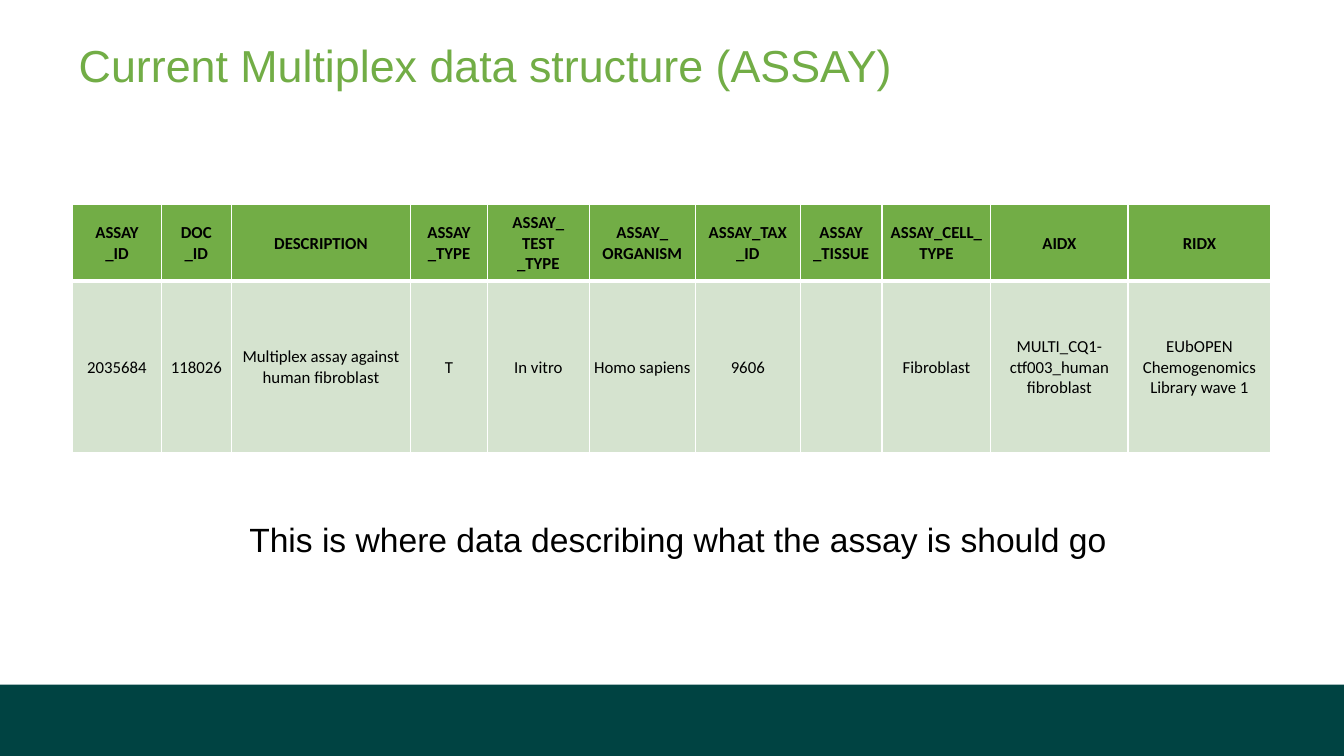
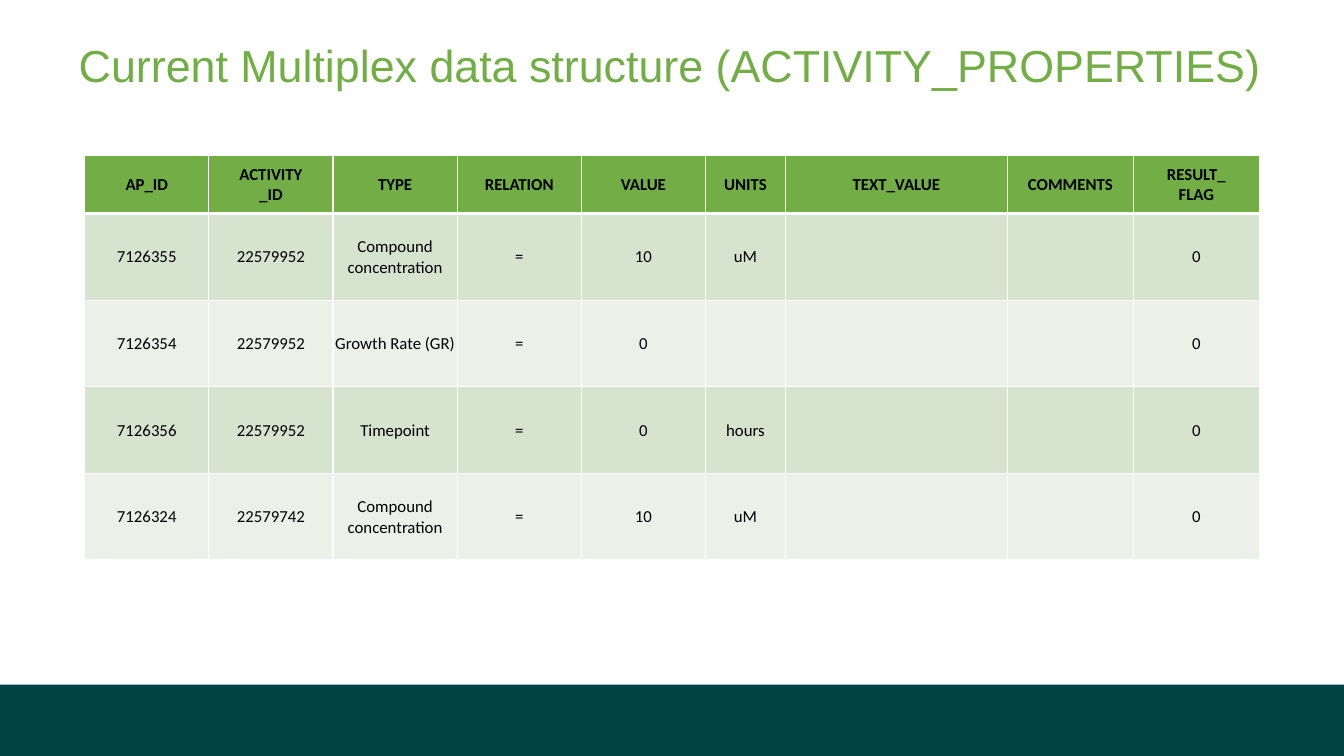
from dataclasses import dataclass

import lxml.etree
import pptx
import pptx.dml.color
import pptx.enum.shapes
import pptx.enum.text
import pptx.oxml.ns
import pptx.util

Pt = pptx.util.Pt
ALIGN = pptx.enum.text.PP_ALIGN
MIDDLE = pptx.enum.text.MSO_ANCHOR.MIDDLE

COLORS = {
    "green": "72AD46",
    "teal": "004342",
    "row_dark": "D5E3CF",
    "row_light": "EBF1E9",
    "white": "FFFFFF",
    "black": "000000",
}
SLIDE_W, SLIDE_H = 960, 540
BAND_H = 51


@dataclass
class TextStyle:
    font: str
    size: float
    color: str
    align: ALIGN
    bold: bool = False


@dataclass
class DataTable:
    left: float
    top: float
    widths: list[float]
    header_h: float
    row_h: float
    rows: list[list[str]]


@dataclass
class SlideContent:
    title: str
    table: DataTable
    caption: str = ""


TITLE = TextStyle("Arial", 32, "green", ALIGN.LEFT)
CAPTION = TextStyle("Arial", 24, "black", ALIGN.CENTER)
HEADER = TextStyle("Calibri", 12, "black", ALIGN.CENTER, True)
BODY = TextStyle("Calibri", 12, "black", ALIGN.CENTER)

SLIDES = [
    SlideContent(
        "Current Multiplex data structure (ASSAY)",
        DataTable(
            51.9, 146.2,
            [63.4, 49.9, 128.2, 54.8, 72.8, 75.7, 75, 58.4, 77.8, 97.9, 102.2],
            54.7, 122.4,
            [
                ["ASSAY\n_ID", "DOC\n_ID", "DESCRIPTION", "ASSAY\n_TYPE",
                 "ASSAY_\nTEST\n_TYPE", "ASSAY_\nORGANISM", "ASSAY_TAX\n_ID",
                 "ASSAY\n_TISSUE", "ASSAY_CELL_\nTYPE", "AIDX", "RIDX"],
                ["2035684", "118026", "Multiplex assay against human fibroblast",
                 "T", "In vitro", "Homo sapiens", "9606", "", "Fibroblast",
                 "MULTI_CQ1-ctf003_human fibroblast",
                 "EUbOPEN Chemogenomics Library wave 1"],
            ],
        ),
        "This is where data describing what the assay is should go",
    ),
    SlideContent(
        "Current Multiplex data structure (ACTIVITY_PROPERTIES)",
        DataTable(
            60.5, 110.9,
            [88.7] * 5 + [57, 158.6, 90, 90],
            41.6, 61.9,
            [
                ["AP_ID", "ACTIVITY\n_ID", "TYPE", "RELATION", "VALUE", "UNITS",
                 "TEXT_VALUE", "COMMENTS", "RESULT_\nFLAG"],
                ["7126355", "22579952", "Compound concentration", "=", "10", "uM",
                 "", "", "0"],
                ["7126354", "22579952", "Growth Rate (GR)", "=", "0", "",
                 "", "", "0"],
                ["7126356", "22579952", "Timepoint", "=", "0", "hours",
                 "", "", "0"],
                ["7126324", "22579742", "Compound concentration", "=", "10", "uM",
                 "", "", "0"],
            ],
        ),
    ),
]


def rgb(name: str) -> pptx.dml.color.RGBColor:
    return pptx.dml.color.RGBColor.from_string(COLORS[name])


def write(tf, text: str, style: TextStyle) -> None:
    p = tf.paragraphs[0]
    p.text = text
    p.alignment = style.align
    for r in p.runs:
        r.font.name = style.font
        r.font.size = Pt(style.size)
        r.font.bold = style.bold
        r.font.color.rgb = rgb(style.color)


def add_text(s, left: float, top: float, width: float, height: float,
             text: str, style: TextStyle):
    tf = s.shapes.add_textbox(Pt(left), Pt(top), Pt(width), Pt(height)).text_frame
    tf.word_wrap = True
    write(tf, text, style)
    return tf


def add_frame(s, title: str) -> None:
    """Draw the bottom band and the title that every slide has."""
    band = s.shapes.add_shape(
        pptx.enum.shapes.MSO_SHAPE.RECTANGLE,
        Pt(0), Pt(SLIDE_H - BAND_H), Pt(SLIDE_W), Pt(BAND_H))
    band.shadow.inherit = False
    band.fill.solid()
    band.fill.fore_color.rgb = rgb("teal")
    band.line.fill.background()

    tf = add_text(s, 56.2, 23.8, 856, 59.8, title, TITLE)
    tf.margin_left = tf.margin_right = tf.margin_bottom = 0
    tf.margin_top = Pt(3.5)


def set_borders(cell, top: float, bottom: float) -> None:
    tc_pr = cell._tc.get_or_add_tcPr()
    qn = pptx.oxml.ns.qn
    for side, width in (("L", 1), ("R", 1), ("T", top), ("B", bottom)):
        ln = lxml.etree.SubElement(tc_pr, qn(f"a:ln{side}"), w=str(Pt(width)))
        fill = lxml.etree.SubElement(ln, qn("a:solidFill"))
        lxml.etree.SubElement(fill, qn("a:srgbClr"), val=COLORS["white"])


def add_data_table(s, data: DataTable) -> None:
    heights = [data.header_h] + [data.row_h] * (len(data.rows) - 1)
    table = s.shapes.add_table(
        len(heights), len(data.widths), Pt(data.left), Pt(data.top),
        Pt(sum(data.widths)), Pt(sum(heights))).table
    table.horz_banding = False
    for column, width in zip(table.columns, data.widths):
        column.width = Pt(width)
    for i, (height, texts) in enumerate(zip(heights, data.rows)):
        table.rows[i].height = Pt(height)
        if i == 0:
            style, color = HEADER, "green"
        else:
            style, color = BODY, "row_dark" if i % 2 else "row_light"
        for j, text in enumerate(texts):
            cell = table.cell(i, j)
            set_borders(cell, 3 if i == 1 else 1, 3 if i == 0 else 1)
            cell.fill.solid()
            cell.fill.fore_color.rgb = rgb(color)
            cell.vertical_anchor = MIDDLE
            cell.margin_left = cell.margin_right = cell.margin_top = Pt(0.7)
            cell.margin_bottom = 0
            write(cell.text_frame, text, style)


def main() -> None:
    prs = pptx.Presentation()
    prs.slide_width, prs.slide_height = Pt(SLIDE_W), Pt(SLIDE_H)
    for content in SLIDES:
        s = prs.slides.add_slide(prs.slide_layouts[6])
        add_frame(s, content.title)
        add_data_table(s, content.table)
        if content.caption:
            add_text(s, 115.2, 367.2, 738, 36, content.caption, CAPTION)
    prs.save("out.pptx")


if __name__ == "__main__":
    main()
